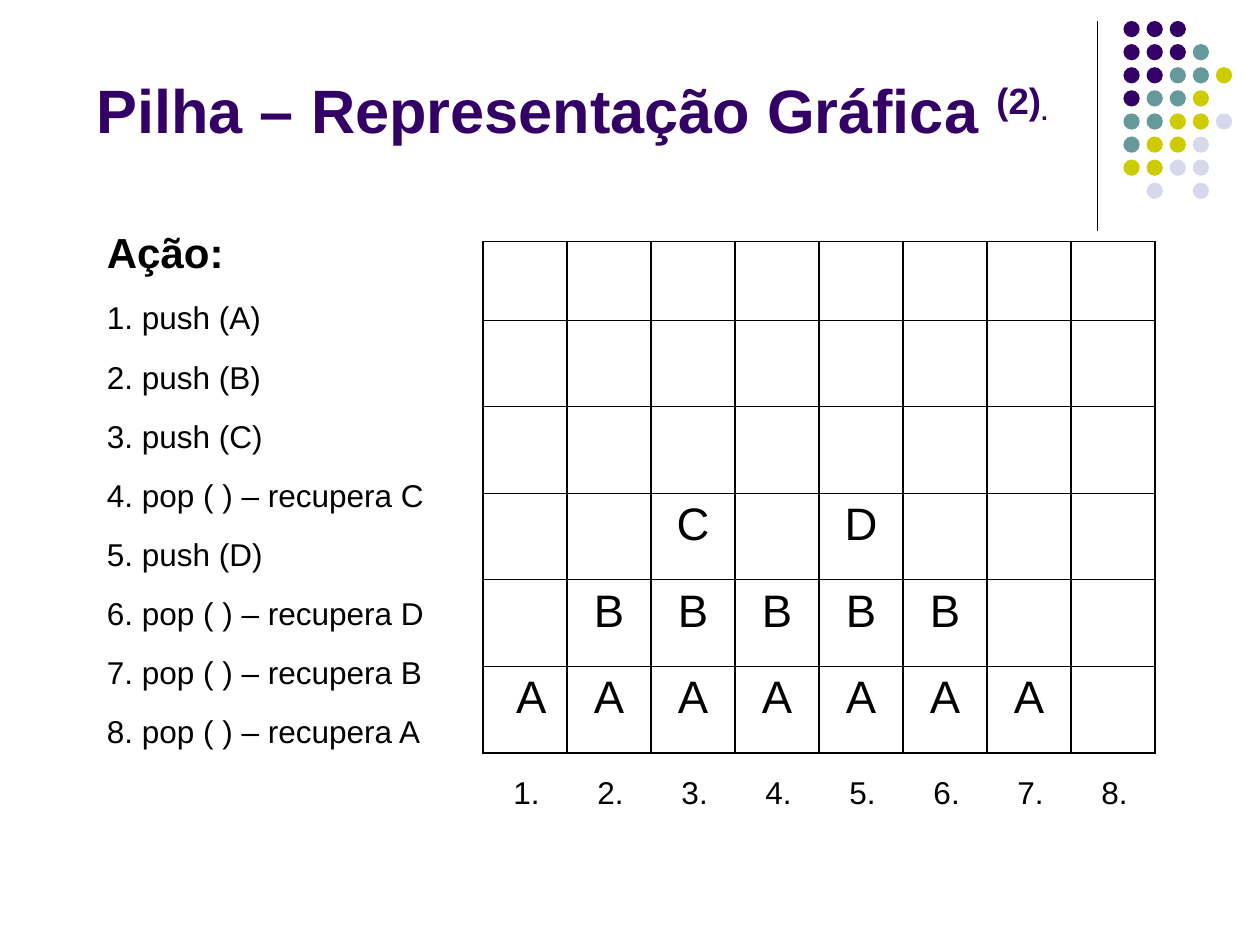
from dataclasses import dataclass

from lxml import etree
from pptx import Presentation
from pptx.dml.color import RGBColor
from pptx.enum.shapes import MSO_CONNECTOR, MSO_SHAPE
from pptx.enum.text import MSO_ANCHOR, PP_ALIGN
from pptx.oxml import parse_xml
from pptx.oxml.ns import nsdecls, qn
from pptx.util import Inches, Pt

STRAIGHT = MSO_CONNECTOR.STRAIGHT
OVAL = MSO_SHAPE.OVAL
BOTTOM, TOP = MSO_ANCHOR.BOTTOM, MSO_ANCHOR.TOP
CENTER, LEFT = PP_ALIGN.CENTER, PP_ALIGN.LEFT


@dataclass(frozen=True)
class Theme:
    font: str = "Arial"
    ink: str = "000000"
    purple: str = "330066"
    teal: str = "669999"
    lime: str = "CCCC00"
    lilac: str = "D8D8EC"
    title: float = 35
    title_part: float = 36
    title_stop: float = 24
    heading: float = 24
    body: float = 18
    letter: float = 26
    rule: float = 0.75
    thick: float = 1.08
    thin: float = 0.45
    gap: float = 12.2


@dataclass(frozen=True)
class Box:
    """Place in columns and rows of the slide grid."""
    left: float
    top: float
    width: float
    height: float

    def emu(self):
        return [unit(v) for v in (self.left, self.top, self.width, self.height)]


THEME = Theme()
COLUMNS, ROWS = 120, 90  # slide grid, 12 units to the inch

DOT_ROWS = ["PPP", "PPPT", "PPTTL", "PTTL", "TTLLV", "TLLV", "LLVV", " V V"]
DOT_COLORS = {"P": THEME.purple, "T": THEME.teal, "L": THEME.lime, "V": THEME.lilac}
ACTIONS = ["push (A)", "push (B)", "push (C)", "pop ( ) – recupera C", "push (D)",
           "pop ( ) – recupera D", "pop ( ) – recupera B", "pop ( ) – recupera A"]
STACKS = ["A", "AB", "ABC", "AB", "ABD", "AB", "A", ""]  # bottom to top, after each action
LEVELS = 6


def unit(n):
    return Inches(n / 12)


def add_run(paragraph, text, size, color=THEME.ink, bold=False):
    run = paragraph.add_run()
    run.text = text
    formats = {"name": THEME.font, "size": Pt(size), "bold": bold}
    for key, value in formats.items():
        setattr(run.font, key, value)
    run.font.color.rgb = RGBColor.from_string(color)
    return run


def add_text_frame(slide, box, anchor=TOP):
    frame = slide.shapes.add_textbox(*box.emu()).text_frame
    formats = {"word_wrap": True, "vertical_anchor": anchor}
    for key, value in formats.items():
        setattr(frame, key, value)
    return frame


def draw_ornament(slide, box):
    # Vertical rule on the left edge
    x, y, _, height = box.emu()
    rule = slide.shapes.add_connector(STRAIGHT, x, y, x, y + height)
    rule.line.color.rgb = RGBColor.from_string(THEME.ink)
    rule.line.width = Pt(THEME.rule)
    etree.SubElement(rule._element.spPr, qn("a:effectLst"))

    # Dot pattern
    pitch, size, indent = 2.2, 1.55, 2.5
    dots = slide.shapes.add_group_shape()
    for row, codes in enumerate(DOT_ROWS):
        for column, code in enumerate(codes):
            if code == " ":
                continue
            place = Box(box.left + indent + column * pitch, box.top + row * pitch, size, size)
            dot = dots.shapes.add_shape(OVAL, *place.emu())
            dot.shadow.inherit = False
            dot.fill.solid()
            dot.fill.fore_color.rgb = RGBColor.from_string(DOT_COLORS[code])
            dot.line.fill.background()


def draw_title(slide, box):
    line = add_text_frame(slide, box, BOTTOM).paragraphs[0]
    line.alignment = CENTER
    add_run(line, "Pilha – Representação Gráfica ", THEME.title, THEME.purple, True)
    for text, size in (("(2)", THEME.title_part), (".", THEME.title_stop)):
        raised = add_run(line, text, size, THEME.purple, True)
        raised.font._element.set("baseline", "30000")


def draw_actions(slide, box):
    frame = add_text_frame(slide, box)
    add_run(frame.paragraphs[0], "Ação:", THEME.heading, bold=True)
    for number, action in enumerate(ACTIONS, 1):
        item = frame.add_paragraph()
        item.space_before = Pt(THEME.gap)
        add_run(item, f"{number}. {action}", THEME.body)


def set_borders(cell, widths):
    properties = cell._tc.get_or_add_tcPr()
    for index, (side, width) in enumerate(widths.items()):
        properties.insert(index, parse_xml(
            f'<a:ln{side} {nsdecls("a")} w="{Pt(width)}"><a:solidFill>'
            f'<a:srgbClr val="{THEME.ink}"/></a:solidFill></a:ln{side}>'))


def draw_stack(slide, box, letters, inset):
    table = slide.shapes.add_table(LEVELS, 1, *box.emu()).table
    for option in ("first_row", "horz_banding"):
        setattr(table, option, False)
    table.columns[0].width = unit(box.width)
    top_row = 7.5
    other_row = (box.height - top_row) / (LEVELS - 1)
    for row in range(LEVELS):
        table.rows[row].height = unit(other_row if row else top_row)
        cell = table.cell(row, 0)
        cell.fill.background()
        set_borders(cell, {
            "L": THEME.thick, "R": THEME.thick,
            "T": THEME.thin if row else THEME.thick,
            "B": THEME.thin if row < LEVELS - 1 else THEME.thick})
        level = LEVELS - 1 - row
        if level < len(letters):
            cell.margin_left = unit(inset)
            line = cell.text_frame.paragraphs[0]
            line.alignment = CENTER
            add_run(line, letters[level], THEME.letter)


def draw_stacks(slide, box):
    width = box.width / len(STACKS)
    for index, letters in enumerate(STACKS):
        place = Box(box.left + index * width, box.top, width, box.height)
        draw_stack(slide, place, letters, 1.2 if index else 2.4)


def draw_step_numbers(slide, box):
    frame = add_text_frame(slide, box)
    frame.margin_left = unit(2.9)
    line = frame.paragraphs[0]
    line.alignment = LEFT
    # One tab stop for each stack column
    width = box.width / len(STACKS)
    tabs = etree.SubElement(line._p.get_or_add_pPr(), qn("a:tabLst"))
    for index in range(1, len(STACKS)):
        etree.SubElement(tabs, qn("a:tab"), pos=str(unit(index * width)), algn="l")
    add_run(line, "\t".join(f"{n}." for n in range(1, len(STACKS) + 1)), THEME.body)


def main():
    deck = Presentation()
    deck.slide_width, deck.slide_height = unit(COLUMNS), unit(ROWS)
    slide = deck.slides.add_slide(deck.slide_layouts[6])
    draw_ornament(slide, Box(104.5, 2, 13, 20))
    draw_title(slide, Box(5, 4, 99, 10.5))
    draw_actions(slide, Box(9, 21, 34, 55.3))
    draw_stacks(slide, Box(46, 23, 64, 48.7))
    draw_step_numbers(slide, Box(46, 73, 64, 4.8))
    deck.save("out.pptx")


if __name__ == "__main__":
    main()
